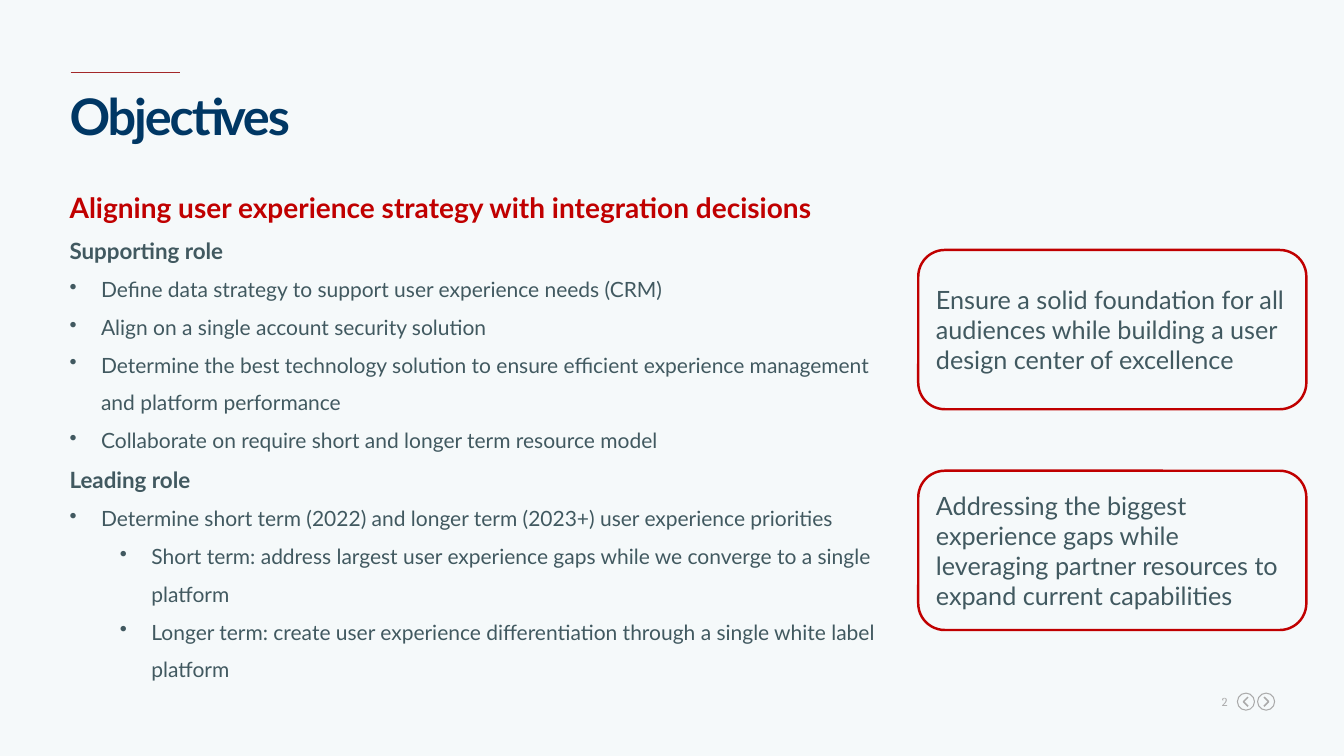
"""Build the Objectives slide."""
import pptx
import pptx.util
import pptx.dml.color
import pptx.enum.shapes
import pptx.enum.text
import pptx.oxml.ns
import lxml.etree
from dataclasses import dataclass

Pt = pptx.util.Pt
Shape = pptx.enum.shapes.MSO_SHAPE
Align = pptx.enum.text.PP_ALIGN
Anchor = pptx.enum.text.MSO_ANCHOR


@dataclass(frozen=True)
class Theme:
    """Hold colours, fonts and type sizes."""
    back: str = "F5F9FA"
    navy: str = "003764"
    red: str = "C00000"
    rule: str = "A32829"
    slate: str = "415960"
    grey: str = "AAAAAA"
    font: str = "Lato"
    serif: str = "Cambria"
    title: float = 36
    lead: float = 20
    role: float = 16
    item: float = 15
    note: float = 18
    page: float = 8.7


THEME = Theme()
TITLE = "Objectives"
PAGE = "2"
BODY = [
    ("lead", "Aligning user experience strategy with integration decisions"),
    ("role", "Supporting role"),
    ("item", "Define data strategy to support user experience needs (CRM)"),
    ("item", "Align on a single account security solution"),
    ("item", "Determine the best technology solution to ensure efficient "
             "experience management and platform performance"),
    ("item", "Collaborate on require short and longer term resource model"),
    ("role", "Leading role"),
    ("item", "Determine short term (2022) and longer term (2023+) user experience priorities"),
    ("sub", "Short term: address largest user experience gaps while we converge "
            "to a single platform"),
    ("sub", "Longer term: create user experience differentiation through a "
            "single white label platform"),
]
NOTES = [
    "Ensure a solid foundation for all audiences while building a user design "
    "center of excellence",
    "Addressing the biggest experience gaps while leveraging partner resources "
    "to expand current capabilities",
]
STYLES = {
    "lead": (THEME.lead, THEME.red, True),
    "role": (THEME.role, THEME.slate, True),
    "item": (THEME.item, THEME.slate, False),
    "sub": (THEME.item, THEME.slate, False),
}
INDENT = {"item": (0, 22.5), "sub": (1, 58.5)}
HANG = 22.5
LEFT = 49.68


def tint(hue):
    return pptx.dml.color.RGBColor.from_string(hue)


def add_run(para, text, size, hue, bold=False, face=THEME.font, space=None):
    run = para.add_run()
    run.text = text
    font = run.font
    font.name, font.size, font.bold = face, Pt(size), bold
    font.color.rgb = tint(hue)
    if space is not None:
        run._r.get_or_add_rPr().set("spc", str(space))


def add_box(slide, *place):
    frame = slide.shapes.add_textbox(*map(Pt, place)).text_frame
    frame.word_wrap = True
    frame.margin_left = frame.margin_top = frame.margin_right = frame.margin_bottom = 0
    return frame


def add_dot(para, level, margin):
    para.level = level
    props = para._p.get_or_add_pPr()
    props.set("marL", str(Pt(margin)))
    props.set("indent", str(-Pt(HANG)))
    mark = lxml.etree.SubElement(props, pptx.oxml.ns.qn("a:buChar"))
    mark.set("char", "•")


def outline(shape, hue, width):
    shape.shadow.inherit = False
    shape.fill.background()
    shape.line.color.rgb = tint(hue)
    shape.line.width = Pt(width)


def add_head(slide):
    rule = slide.shapes.add_connector(
        pptx.enum.shapes.MSO_CONNECTOR.STRAIGHT, Pt(50.4), Pt(51.84), Pt(128.88), Pt(51.84))
    rule.line.color.rgb = tint(THEME.rule)
    rule.line.width = Pt(0.75)
    lxml.etree.SubElement(rule._element.spPr, pptx.oxml.ns.qn("a:effectLst"))
    frame = add_box(slide, LEFT, 60.48, 871.2, 41.04)
    add_run(frame.paragraphs[0], TITLE, THEME.title, THEME.navy, True, space=-150)


def add_body(slide):
    frame = add_box(slide, LEFT, 123.84, 584.64, 363.6)
    for index, (kind, text) in enumerate(BODY):
        para = frame.add_paragraph() if index else frame.paragraphs[0]
        if kind in INDENT:
            add_dot(para, *INDENT[kind])
        para.line_spacing = 1.5
        add_run(para, text, *STYLES[kind])


def add_notes(slide):
    top, step = 178.56, 157.68
    for index, text in enumerate(NOTES):
        place = (655.92, top + index * step, 277.2, 113.76)
        card = slide.shapes.add_shape(Shape.ROUNDED_RECTANGLE, *map(Pt, place))
        outline(card, THEME.red, 1.75)
        frame = card.text_frame
        frame.word_wrap = True
        frame.vertical_anchor = Anchor.MIDDLE
        para = frame.paragraphs[0]
        para.alignment = Align.LEFT
        para.space_after = Pt(12.5)
        add_run(para, text, THEME.note, THEME.slate)


def add_foot(slide):
    frame = add_box(slide, 858.96, 496.08, 18, 10.8)
    para = frame.paragraphs[0]
    para.alignment = Align.RIGHT
    add_run(para, PAGE, THEME.page, THEME.grey, face=THEME.serif, space=30)
    size, mid = 12.2, 501.2
    for centre, way in ((890, -1), (904.4, 1)):
        place = (centre - size / 2, mid - size / 2, size, size)
        ring = slide.shapes.add_shape(Shape.OVAL, *map(Pt, place))
        outline(ring, THEME.grey, 0.75)
        back, tip = Pt(centre - way * 1.5), Pt(centre + way * 1.8)
        path = slide.shapes.build_freeform(back, Pt(mid - 3.3))
        path.add_line_segments([(tip, Pt(mid)), (back, Pt(mid + 3.3))], close=False)
        outline(path.convert_to_shape(), THEME.grey, 1.1)


def main():
    deck = pptx.Presentation()
    deck.slide_width, deck.slide_height = Pt(960), Pt(540)
    slide = deck.slides.add_slide(deck.slide_layouts[6])
    slide.background.fill.solid()
    slide.background.fill.fore_color.rgb = tint(THEME.back)
    add_foot(slide)
    add_head(slide)
    add_body(slide)
    add_notes(slide)
    deck.save("out.pptx")


if __name__ == "__main__":
    main()
